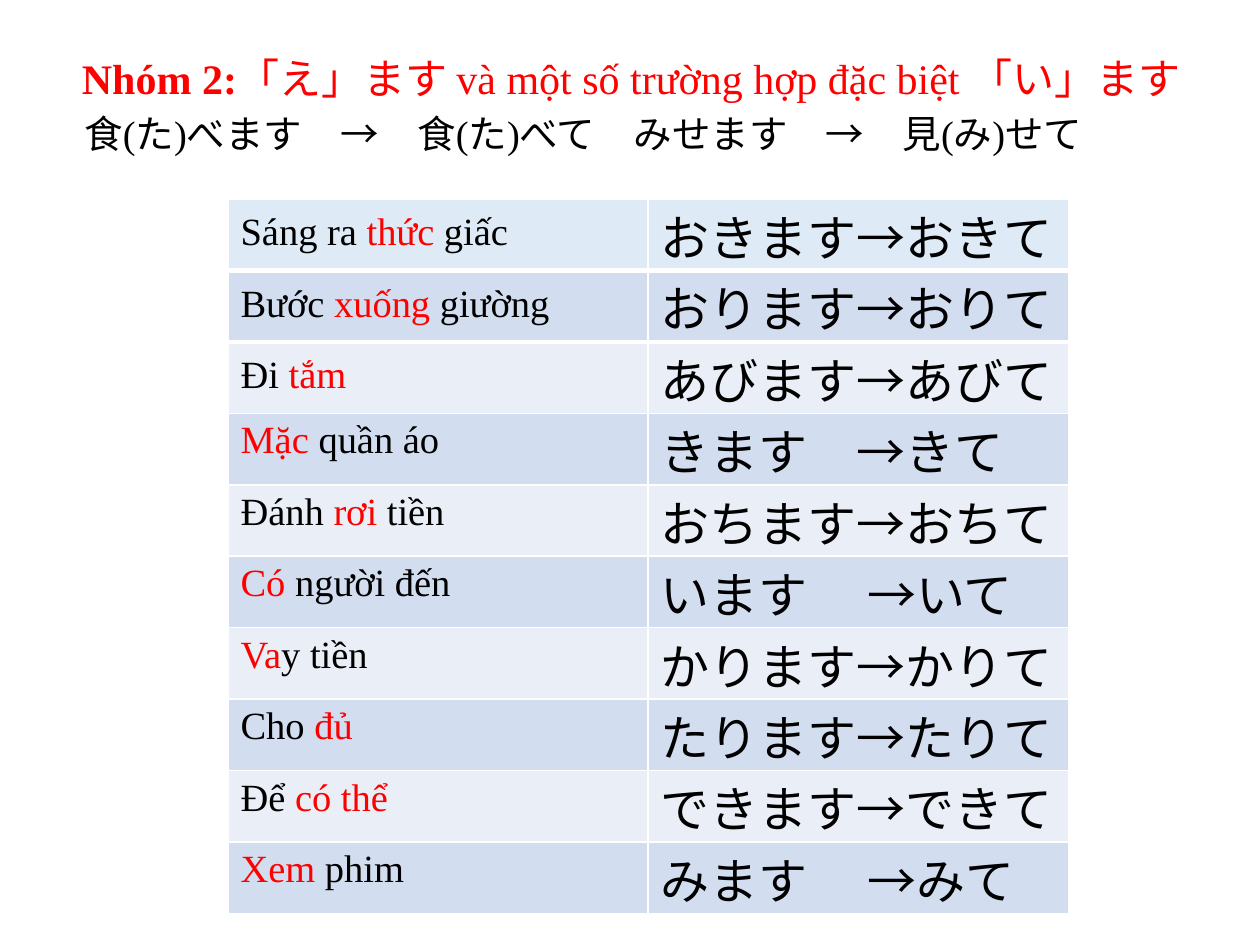
"""Build a slide on the te-form of group 2 Japanese verbs."""
from lxml.etree import SubElement
from pptx import Presentation
from pptx.dml.color import RGBColor
from pptx.enum.text import MSO_ANCHOR, MSO_AUTO_SIZE, PP_ALIGN
from pptx.oxml.ns import qn
from pptx.util import Inches, Pt

COLORS = {
    "accent": "FF0000",
    "text": "000000",
    "header": "DEEBF7",
    "odd": "D2DEEF",
    "even": "EAEFF7",
    "border": "FFFFFF",
}
LATIN, JAPANESE = "Times New Roman", "Noto Sans CJK JP"

HEADING = {"size": Pt(24), "name": LATIN, "bold": False}
MEANING = {"size": Pt(22), "name": LATIN, "bold": False}
READING = {"size": Pt(22), "name": JAPANESE, "bold": False}
VERB = {"size": Pt(28), "name": LATIN, "bold": False}

HEADING_LINE = {"alignment": PP_ALIGN.LEFT, "line_spacing": Pt(26.6), "space_before": Pt(0)}
SPACED_LINE = {
    "alignment": PP_ALIGN.LEFT,
    "line_spacing": 1.15,
    "space_before": Pt(0),
    "space_after": Pt(10),
}
CELL_MARGINS = {"margin_top": Inches(0), "margin_bottom": Inches(0)}
SPACED_ROWS = 3

EXAMPLES = "食(|た|)べます　→　食(|た|)べて　みせます　→　見(|み|)せて"
VERBS = [
    ("Sáng ra |thức| giấc", "おきます→おきて"),
    ("Bước |xuống| giường", "おります→おりて"),
    ("Đi |tắm", "あびます→あびて"),
    ("|Mặc| quần áo", "きます　→きて"),
    ("Đánh |rơi| tiền", "おちます→おちて"),
    ("|Có| người đến", "います　 →いて"),
    ("|Va|y tiền", "かります→かりて"),
    ("Cho |đủ", "たります→たりて"),
    ("Để |có thể", "できます→できて"),
    ("|Xem| phim", "みます　 →みて"),
]


def apply_format(target, values):
    """Set every attribute named in values on target."""
    for attribute, value in values.items():
        setattr(target, attribute, value)


def add_run(paragraph, text, style, color="text"):
    """Add a run with its Latin and East Asian fonts."""
    run = paragraph.add_run()
    run.text = text
    apply_format(run.font, style)
    run.font.color.rgb = RGBColor.from_string(COLORS[color])
    SubElement(run.font._element, qn("a:ea"), typeface=JAPANESE)


def add_marked_runs(paragraph, marked, plain, special, special_color="text"):
    """Add runs split at bars, every second one in the special style."""
    for index, part in enumerate(marked.split("|")):
        if part and index % 2:
            add_run(paragraph, part, special, special_color)
        elif part:
            add_run(paragraph, part, plain)


def indent(paragraph, left):
    """Indent the whole paragraph from the left."""
    properties = paragraph._p.get_or_add_pPr()
    properties.set("marL", str(left))
    properties.set("indent", "0")


def add_edge(cell, side, width):
    """Draw one edge of a cell in the border colour."""
    properties = cell._tc.get_or_add_tcPr()
    edge = SubElement(properties, qn(f"a:{side}"), w=str(width))
    line_fill = SubElement(edge, qn("a:solidFill"))
    SubElement(line_fill, qn("a:srgbClr"), val=COLORS["border"])
    properties.insert(0, edge)


def add_heading(slide):
    """Fill the title with the rule and its examples."""
    heading = slide.shapes.title
    apply_format(heading, {"left": Inches(0.29), "top": Inches(0.4),
                           "width": Inches(9.3), "height": Inches(0.91)})
    frame = heading.text_frame
    apply_format(frame, {"word_wrap": True, "auto_size": MSO_AUTO_SIZE.NONE,
                         "vertical_anchor": MSO_ANCHOR.TOP, "margin_right": Inches(0.03)})
    rule, examples = frame.paragraphs[0], frame.add_paragraph()
    apply_format(rule, HEADING_LINE)
    indent(rule, Inches(0.26))
    add_run(rule, "Nhóm 2:", {**HEADING, "bold": True}, "accent")
    add_run(rule, "「え」ます và một số trường hợp đặc biệt 「い」ます", HEADING, "accent")
    apply_format(examples, SPACED_LINE)
    indent(examples, Inches(0.28))
    add_marked_runs(examples, EXAMPLES, MEANING, READING)


def add_verb_table(slide):
    """Add the table of meanings and verb forms."""
    table = slide.shapes.add_table(
        len(VERBS), 2, Inches(1.81), Inches(1.58), Inches(6.67), Inches(5.67)
    ).table
    for index, (meaning, verb) in enumerate(VERBS):
        fill = "header" if index == 0 else "odd" if index % 2 else "even"
        meaning_cell, verb_cell = table.rows[index].cells
        for cell in (meaning_cell, verb_cell):
            cell.fill.solid()
            cell.fill.fore_color.rgb = RGBColor.from_string(COLORS[fill])
            if index == 0:
                add_edge(cell, "lnB", Pt(3))
            elif index == 1:
                add_edge(cell, "lnT", Pt(3))
        meaning_line = meaning_cell.text_frame.paragraphs[0]
        if index < SPACED_ROWS:
            apply_format(meaning_line, SPACED_LINE)
        add_marked_runs(meaning_line, meaning, MEANING, MEANING, "accent")
        apply_format(verb_cell, {**CELL_MARGINS, "vertical_anchor": MSO_ANCHOR.BOTTOM})
        add_run(verb_cell.text_frame.paragraphs[0], verb, VERB)


def main():
    """Create the presentation and save it."""
    presentation = Presentation()
    apply_format(presentation, {"slide_width": Inches(10), "slide_height": Inches(7.5)})
    slide = presentation.slides.add_slide(presentation.slide_layouts[5])
    add_heading(slide)
    add_verb_table(slide)
    presentation.save("out.pptx")


if __name__ == "__main__":
    main()
